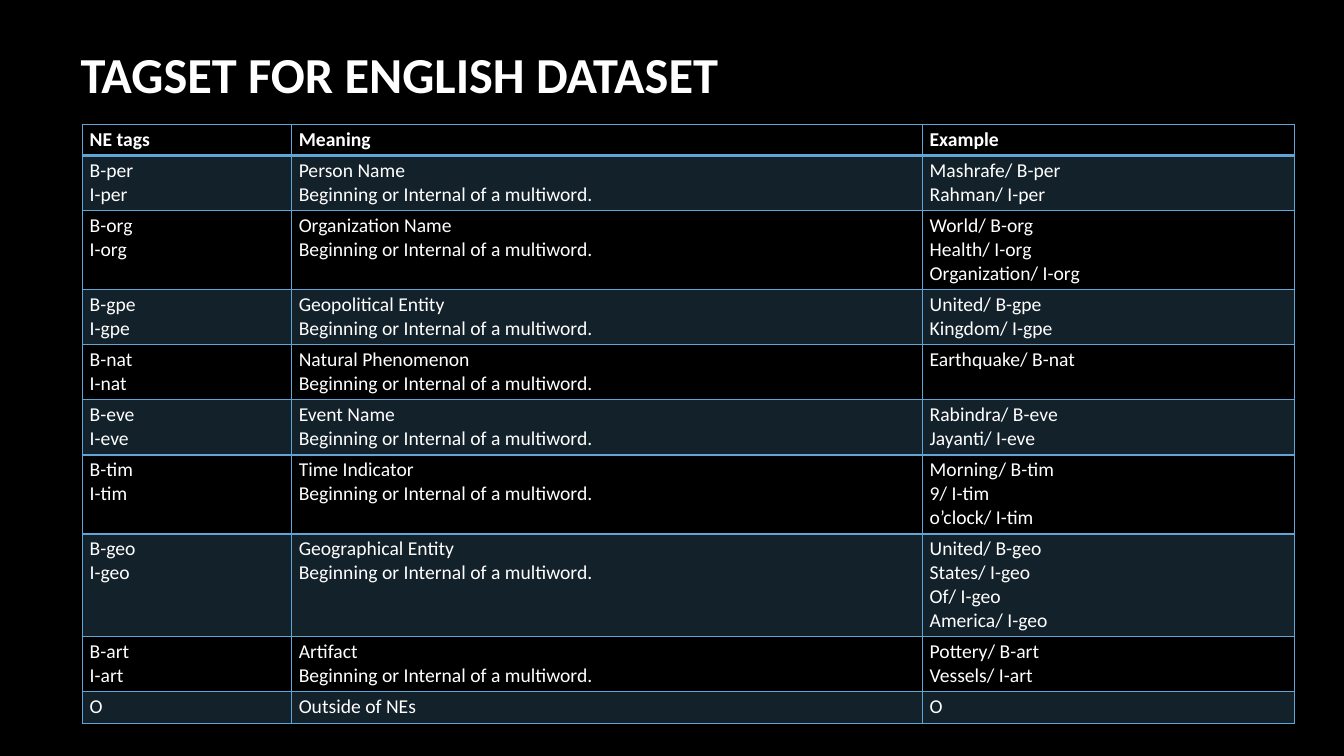
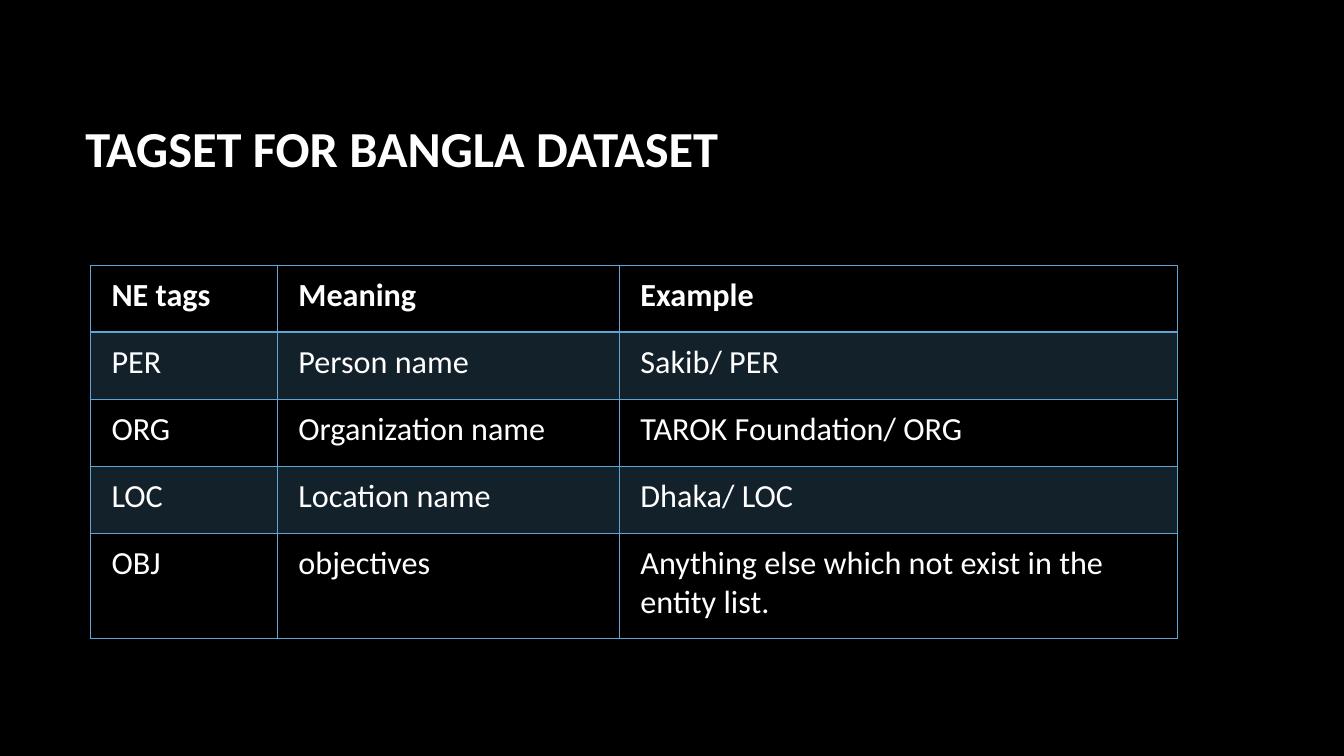
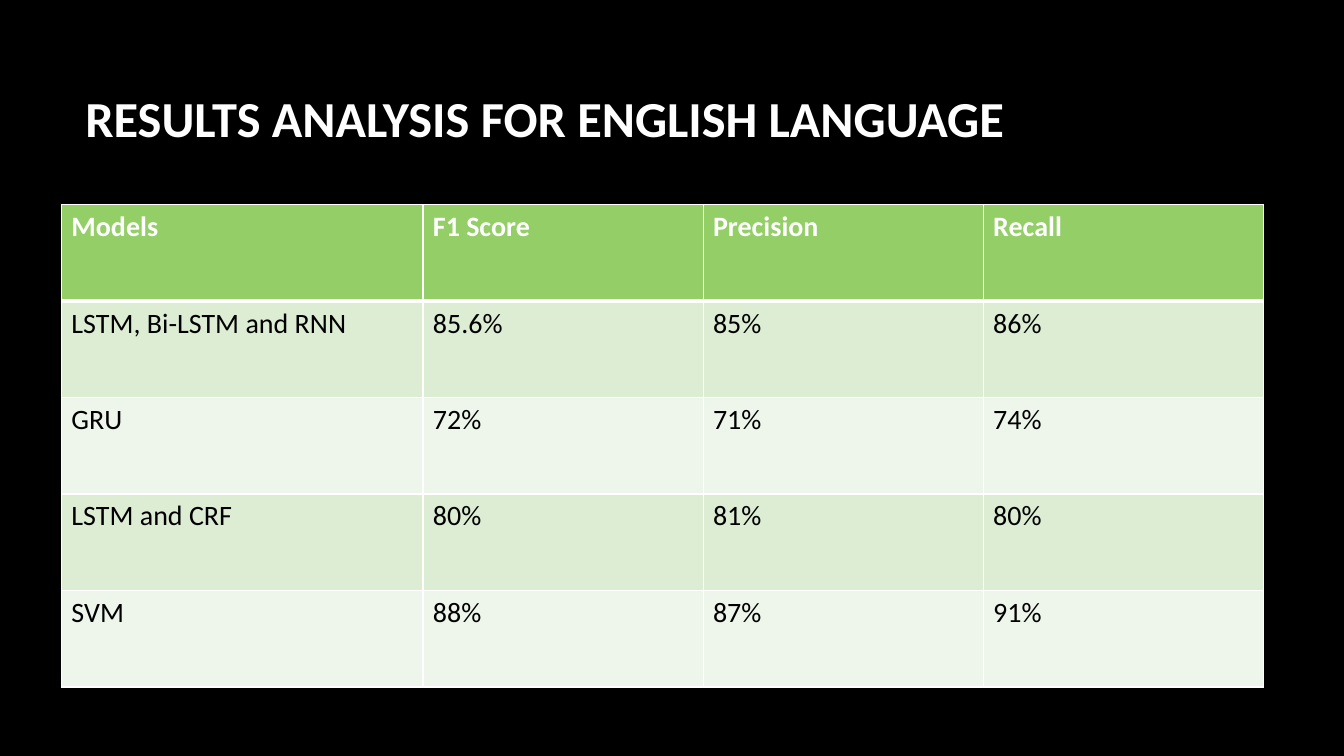
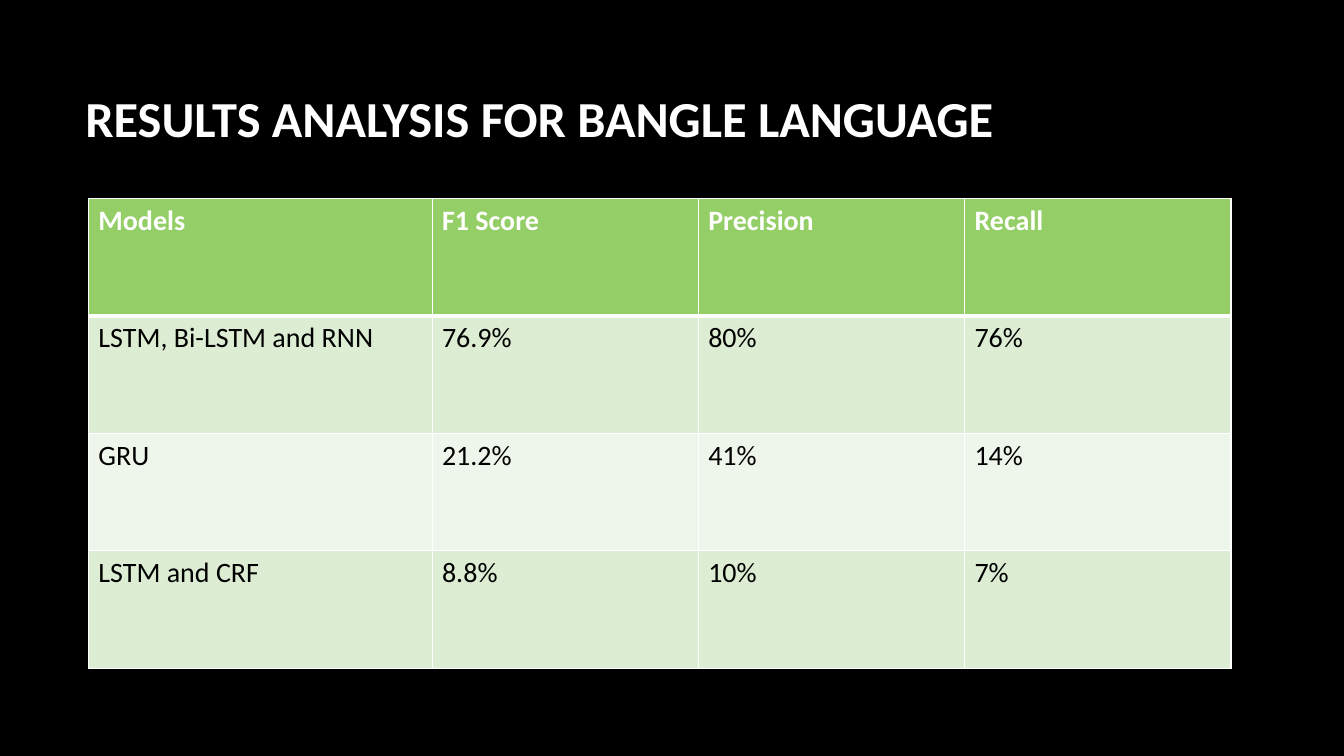
import dataclasses

import pptx
import pptx.dml.color
import pptx.enum.text
import pptx.oxml.ns
import pptx.util
from lxml import etree

Cm = pptx.util.Cm
Pt = pptx.util.Pt


@dataclasses.dataclass(frozen=True)
class Theme:
    font: str = "Calibri"
    black: str = "000000"
    white: str = "FFFFFF"
    blue: str = "61A5D6"
    green: str = "94CE67"
    green_band: str = "DCEDD3"
    green_pale: str = "EEF6EB"
    title_size: int = 36
    dense_size: int = 14
    tag_size: int = 23
    result_size: int = 20


THEME = Theme()


@dataclasses.dataclass(frozen=True)
class TableStyle:
    size: int
    border: str
    header_fill: str
    bands: tuple
    text: str
    header_rule: int
    margin_x: float
    margin_y: float
    band_alpha: int = 100


TAGS = TableStyle(THEME.tag_size, THEME.blue, THEME.black, (THEME.blue, THEME.black),
                  THEME.white, 2, 0.53, 0.26, 20)
DENSE_TAGS = dataclasses.replace(TAGS, size=THEME.dense_size, margin_x=0.18, margin_y=0.08)
RESULTS = TableStyle(THEME.result_size, THEME.white, THEME.green,
                     (THEME.green_band, THEME.green_pale), THEME.black, 3, 0.25, 0.13)


def color(value):
    return pptx.dml.color.RGBColor.from_string(value)


class Builder:
    def __init__(self, theme):
        self.theme = theme
        self.deck = pptx.Presentation()
        self.deck.slide_width = Cm(33.87)
        self.deck.slide_height = Cm(19.05)
        background = self.deck.slide_master.background.fill
        background.solid()
        background.fore_color.rgb = color(theme.black)
        self.slide = None

    def new_slide(self):
        self.slide = self.deck.slides.add_slide(self.deck.slide_layouts[6])

    def add_lines(self, frame, text, size, text_color, bold=False):
        for index, line in enumerate(text.split("\n")):
            para = frame.paragraphs[0] if index == 0 else frame.add_paragraph()
            span = para.add_run()
            span.text = line
            span.font.name = self.theme.font
            span.font.size = Pt(size)
            span.font.bold = bold
            span.font.color.rgb = color(text_color)

    def title(self, text, left=1.9, top=1.7, bottom_inset=0.13):
        box = self.slide.shapes.add_textbox(Cm(left), Cm(top), Cm(28.14), Cm(4.04))
        frame = box.text_frame
        frame.word_wrap = True
        frame.vertical_anchor = pptx.enum.text.MSO_ANCHOR.MIDDLE
        frame.margin_bottom = Cm(bottom_inset)
        self.add_lines(frame, text, self.theme.title_size, self.theme.white, True)

    def fill_cell(self, cell, value, alpha):
        cell.fill.solid()
        cell.fill.fore_color.rgb = color(value)
        if alpha < 100:
            qn = pptx.oxml.ns.qn
            tone = cell._tc.tcPr.find(qn("a:solidFill")).find(qn("a:srgbClr"))
            etree.SubElement(tone, qn("a:alpha"), val=str(alpha * 1000))

    def border_cell(self, cell, style, row):
        qn = pptx.oxml.ns.qn
        widths = {"L": 1, "R": 1, "T": style.header_rule if row == 1 else 1,
                  "B": style.header_rule if row == 0 else 1}
        for side, width in widths.items():
            line = etree.SubElement(cell._tc.get_or_add_tcPr(), qn(f"a:ln{side}"),
                                    w=str(Pt(width)))
            paint = etree.SubElement(line, qn("a:solidFill"))
            etree.SubElement(paint, qn("a:srgbClr"), val=style.border)

    def table(self, left, top, widths, heights, rows, style):
        shape = self.slide.shapes.add_table(len(rows), len(widths), Cm(left), Cm(top),
                                            Cm(sum(widths)), Cm(sum(heights)))
        table = shape.table
        table.first_row = table.horz_banding = False
        for column, width in zip(table.columns, widths):
            column.width = Cm(width)
        for row, (height, texts) in enumerate(zip(heights, rows)):
            table.rows[row].height = Cm(height)
            header = row == 0
            band = (row - 1) % 2
            for column, text in enumerate(texts):
                cell = table.cell(row, column)
                cell.margin_left = cell.margin_right = Cm(style.margin_x)
                cell.margin_top = cell.margin_bottom = Cm(style.margin_y)
                self.border_cell(cell, style, row)
                self.fill_cell(cell, style.header_fill if header else style.bands[band],
                               style.band_alpha if not header and band == 0 else 100)
                self.add_lines(cell.text_frame, text, style.size,
                               self.theme.white if header else style.text, header)


TAG_HEADER = ("NE tags", "Meaning", "Example")
RESULT_HEADER = ("Models", "F1 Score", "Precision", "Recall")

ENTITIES = [
    ("per", "Person Name", "Mashrafe/ B-per\nRahman/ I-per"),
    ("org", "Organization Name", "World/ B-org\nHealth/ I-org\nOrganization/ I-org"),
    ("gpe", "Geopolitical Entity", "United/ B-gpe\nKingdom/ I-gpe"),
    ("nat", "Natural Phenomenon", "Earthquake/ B-nat"),
    ("eve", "Event Name", "Rabindra/ B-eve\nJayanti/ I-eve"),
    ("tim", "Time Indicator", "Morning/ B-tim\n9/ I-tim\no’clock/ I-tim"),
    ("geo", "Geographical Entity", "United/ B-geo\nStates/ I-geo\nOf/ I-geo\nAmerica/ I-geo"),
    ("art", "Artifact", "Pottery/ B-art\nVessels/ I-art"),
]

BANGLA_TAGS = [
    TAG_HEADER,
    ("PER", "Person name", "Sakib/ PER"),
    ("ORG", "Organization name", "TAROK Foundation/ ORG"),
    ("LOC", "Location name", "Dhaka/ LOC"),
    ("OBJ", "objectives", "Anything else which not exist in the entity list."),
]

ENGLISH_RESULTS = [
    RESULT_HEADER,
    ("LSTM, Bi-LSTM and RNN", "85.6%", "85%", "86%"),
    ("GRU", "72%", "71%", "74%"),
    ("LSTM and CRF", "80%", "81%", "80%"),
    ("SVM", "88%", "87%", "91%"),
]

BANGLA_RESULTS = [
    RESULT_HEADER,
    ("LSTM, Bi-LSTM and RNN", "76.9%", "80%", "76%"),
    ("GRU", "21.2%", "41%", "14%"),
    ("LSTM and CRF", "8.8%", "10%", "7%"),
]


def english_tags(builder):
    rows = [TAG_HEADER]
    for tag, meaning, example in ENTITIES:
        rows.append((f"B-{tag}\nI-{tag}",
                     f"{meaning}\nBeginning or Internal of a multiword.", example))
    rows.append(("O", "Outside of NEs", "O"))
    heights = [0.19 + 0.6 * max(text.count("\n") + 1 for text in row) for row in rows]
    builder.new_slide()
    builder.title("TAGSET FOR ENGLISH DATASET", 1.78, -0.18)
    builder.table(2.08, 3.13, [5.27, 15.9, 9.37], heights, rows, DENSE_TAGS)


def bangla_tags(builder):
    builder.new_slide()
    builder.title("TAGSET FOR BANGLA DATASET")
    builder.table(2.28, 6.68, [4.71, 8.62, 14.06], [1.69] * 4 + [2.64], BANGLA_TAGS, TAGS)


def results(builder, language, left, top, widths, height, rows):
    builder.new_slide()
    builder.title(f"RESULTS ANALYSIS FOR {language} LANGUAGE", bottom_inset=1.67)
    builder.table(left, top, widths, [height] * len(rows), rows, RESULTS)


def main():
    builder = Builder(THEME)
    english_tags(builder)
    bangla_tags(builder)
    results(builder, "ENGLISH", 1.55, 5.16, [9.11] + [7.06] * 3, 2.43, ENGLISH_RESULTS)
    results(builder, "BANGLE", 2.23, 5, [8.66] + [6.71] * 3, 2.96, BANGLA_RESULTS)
    builder.deck.save("out.pptx")


if __name__ == "__main__":
    main()
